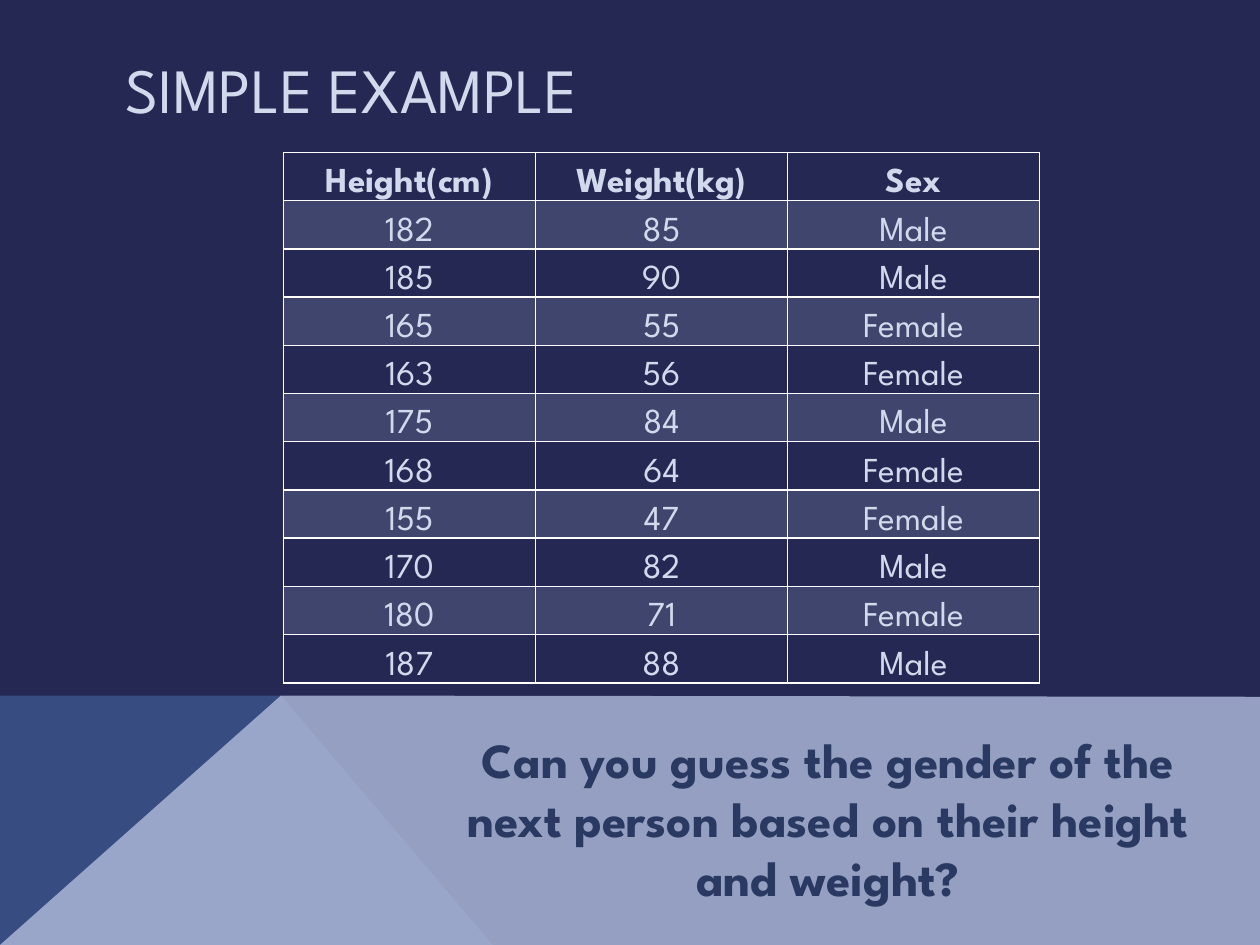
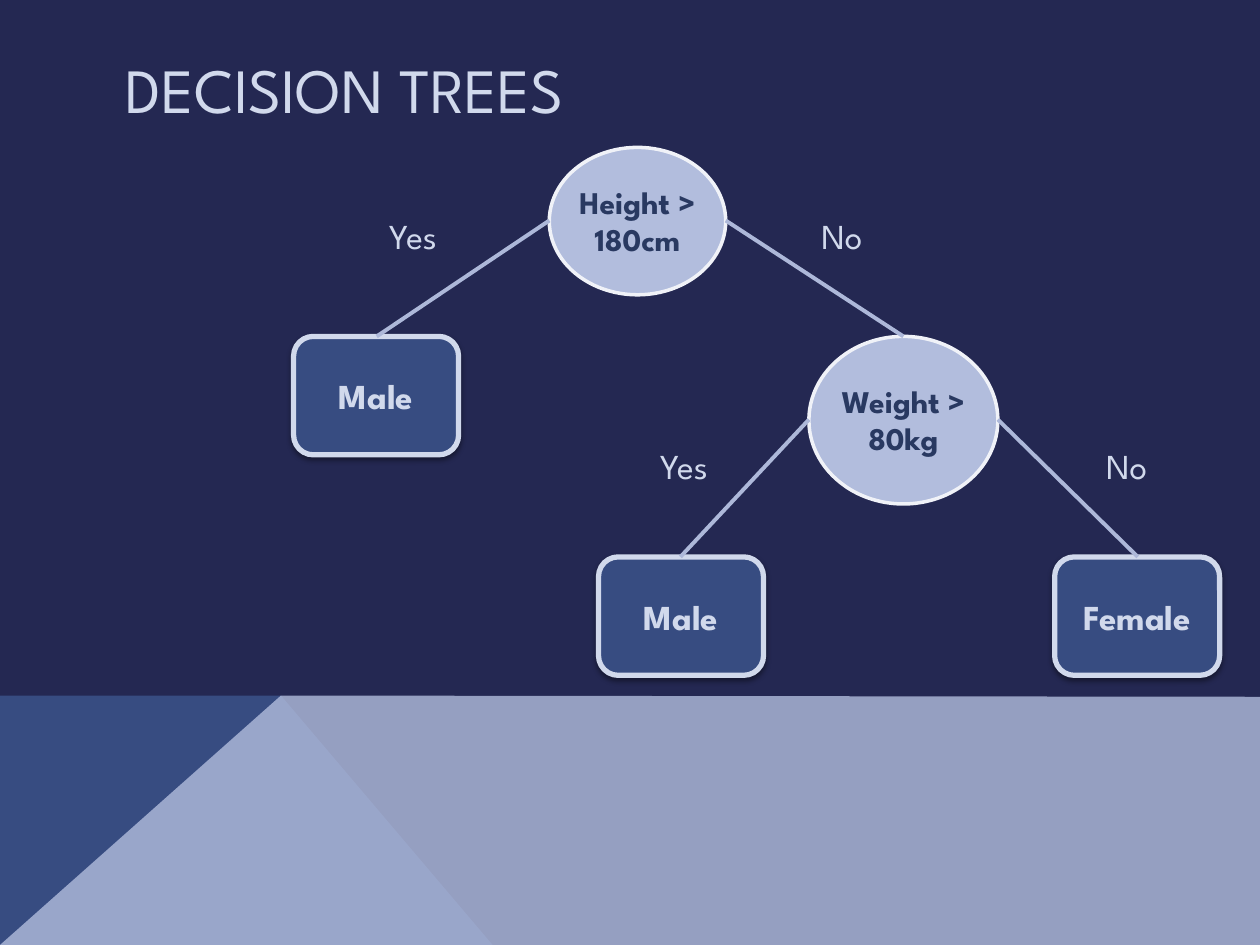
from dataclasses import dataclass

from lxml import etree
from pptx import Presentation
from pptx import util as u
from pptx.dml.color import RGBColor
from pptx.enum import shapes, text
from pptx.oxml import ns, parse_xml

In, Pt = u.Inches, u.Pt
Shape, Align, Anchor = shapes.MSO_SHAPE, text.PP_ALIGN, text.MSO_ANCHOR


@dataclass(frozen=True)
class Theme:
    font: str = "League Spartan"
    back: str = "242852"
    navy: str = "374C81"
    mist: str = "B2BDDD"
    pale: str = "D1D9EC"
    ink: str = "293961"
    rim: str = "F0F2F8"
    edge: str = "ADB8D9"
    grid: str = "FFFFFF"
    title: int = 36
    ask: int = 28
    body: int = 20
    node: int = 18


def rgb(color):
    return RGBColor.from_string(color)


def fade(host, percent):
    """Make the solid fill of a shape or cell element see-through."""
    color = host.find(".//" + ns.qn("a:srgbClr"))
    etree.SubElement(color, ns.qn("a:alpha"), val=str(percent * 1000))


class Deck:
    def __init__(self, theme):
        self.theme = theme
        self.file = Presentation()
        self.file.slide_width, self.file.slide_height = In(10), In(7.5)
        self.slide = None

    # Shared frame: background, bottom band and title
    def page(self, title):
        t = self.theme
        self.slide = self.file.slides.add_slide(self.file.slide_layouts[6])
        fill = self.slide.background.fill
        fill.solid()
        fill.fore_color.rgb = rgb(t.back)
        self.area([(0, 7.5), (0, 5.52), (2.23, 5.52), (3.91, 7.5)], t.navy)
        band = self.area([(0, 7.5), (2.23, 5.52), (10, 5.53), (10, 7.5)], t.mist)
        fade(band.element.spPr, 80)
        self.label(title, 0.9, 0.4, 8.22, 0.6, t.title, anchor=Anchor.MIDDLE)

    def area(self, points, color):
        start, *rest = [(In(x), In(y)) for x, y in points]
        pen = self.slide.shapes.build_freeform(*start)
        pen.add_line_segments(rest, close=True)
        return self.paint(pen.convert_to_shape(), color)

    def paint(self, shape, color, line=None, width=0):
        shape.shadow.inherit = False
        shape.fill.solid()
        shape.fill.fore_color.rgb = rgb(color)
        if line:
            shape.line.color.rgb = rgb(line)
            shape.line.width = Pt(width)
        else:
            shape.line.fill.background()
        return shape

    def words(self, frame, value, size, color=None, bold=False, align=Align.CENTER):
        frame.text = value
        for para in frame.paragraphs:
            para.alignment = align
            for run in para.runs:
                font = run.font
                font.name, font.size, font.bold = self.theme.font, Pt(size), bold
                font.color.rgb = rgb(color or self.theme.pale)

    def label(self, value, x, y, w, h, size, color=None, bold=False,
              align=Align.LEFT, anchor=Anchor.TOP, home=None):
        home = home or self.slide.shapes
        frame = home.add_textbox(In(x), In(y), In(w), In(h)).text_frame
        frame.word_wrap = True
        frame.vertical_anchor = anchor
        self.words(frame, value, size, color, bold, align)

    # Data table with a ruled grid and every second row tinted
    def table(self, rows, x, y, w, h):
        frame = self.slide.shapes.add_table(
            len(rows), len(rows[0]), In(x), In(y), In(w), In(h))
        table = frame.table
        table.first_row = table.horz_banding = False
        for r, row in enumerate(rows):
            for c, value in enumerate(row):
                cell = table.cell(r, c)
                self.words(cell.text_frame, str(value), self.theme.body, bold=r == 0)
                cell.vertical_anchor = Anchor.BOTTOM
                cell.margin_left = cell.margin_right = cell.margin_top = In(0.01)
                cell.margin_bottom = 0
                props = cell._tc.get_or_add_tcPr()
                if r % 2:
                    cell.fill.solid()
                    cell.fill.fore_color.rgb = rgb(self.theme.mist)
                    fade(props, 20)
                else:
                    cell.fill.background()
                self.rule(props)

    def rule(self, props):
        for i, side in enumerate("LRTB"):
            props.insert(i, parse_xml(
                f'<a:ln{side} {ns.nsdecls("a")} w="{Pt(1)}"><a:solidFill>'
                f'<a:srgbClr val="{self.theme.grid}"/></a:solidFill></a:ln{side}>'))

    # Tree parts: question, answer and branch
    def query(self, value, x, y, w, h):
        t = self.theme
        group = self.slide.shapes.add_group_shape().shapes
        oval = group.add_shape(Shape.OVAL, In(x), In(y), In(w), In(h))
        self.paint(oval, t.mist, t.rim, 2)
        self.label(value, x + 0.1, y + (h - 0.71) / 2, w - 0.2, 0.71, t.node,
                   t.ink, True, Align.CENTER, home=group)

    def leaf(self, value, x, y):
        t = self.theme
        box = self.slide.shapes.add_shape(
            Shape.ROUNDED_RECTANGLE, In(x), In(y), In(1.31), In(0.94))
        self.paint(box, t.navy, t.pale, 3)
        box.element.spPr.find(ns.qn("a:effectLst")).append(parse_xml(
            f'<a:outerShdw {ns.nsdecls("a")} blurRad="{Pt(3.1)}" dist="{Pt(1.6)}" '
            'dir="5400000" rotWithShape="0"><a:srgbClr val="000000">'
            '<a:alpha val="38000"/></a:srgbClr></a:outerShdw>'))
        box.text_frame.vertical_anchor = Anchor.MIDDLE
        self.words(box.text_frame, value, t.body, bold=True)

    def branch(self, start, end):
        line = self.slide.shapes.add_connector(
            shapes.MSO_CONNECTOR.STRAIGHT, *map(In, start + end))
        line.line.color.rgb = rgb(self.theme.edge)
        line.line.width = Pt(2.25)
        etree.SubElement(line.element.spPr, ns.qn("a:effectLst"))


def main():
    theme = Theme()
    deck = Deck(theme)

    # Slide 1: sample data and the question
    deck.page("SIMPLE EXAMPLE")
    people = [
        ("Height(cm)", "Weight(kg)", "Sex"),
        (182, 85, "Male"),
        (185, 90, "Male"),
        (165, 55, "Female"),
        (163, 56, "Female"),
        (175, 84, "Male"),
        (168, 64, "Female"),
        (155, 47, "Female"),
        (170, 82, "Male"),
        (180, 71, "Female"),
        (187, 88, "Male"),
    ]
    deck.table(people, 2.25, 1.21, 6, 4.21)
    deck.label("Can you guess the gender of the next person based on their "
               "height and weight?", 3.57, 5.74, 6, 1.51, theme.ask, theme.ink,
               True, Align.CENTER)

    # Slide 2: the tree
    deck.page("DECISION TREES")
    deck.query("Height >\n180cm", 4.36, 1.17, 1.4, 1.17)
    deck.query("Weight >\n80kg", 6.42, 2.67, 1.5, 1.33)
    for value, x, y in [("Female", 8.37, 4.42), ("Male", 4.75, 4.42),
                        ("Male", 2.33, 2.67)]:
        deck.leaf(value, x, y)
    for start, end in [((4.36, 1.75), (2.99, 2.67)), ((5.76, 1.75), (7.17, 2.67)),
                       ((6.42, 3.33), (5.4, 4.42)), ((7.92, 3.33), (9.03, 4.42))]:
        deck.branch(start, end)
    for value, x, y in [("Yes", 2.99, 1.65), ("Yes", 5.14, 3.48),
                        ("No", 6.42, 1.65), ("No", 8.68, 3.48)]:
        deck.label(value, x, y, 0.69, 0.44, theme.body)

    deck.file.save("out.pptx")


if __name__ == "__main__":
    main()
